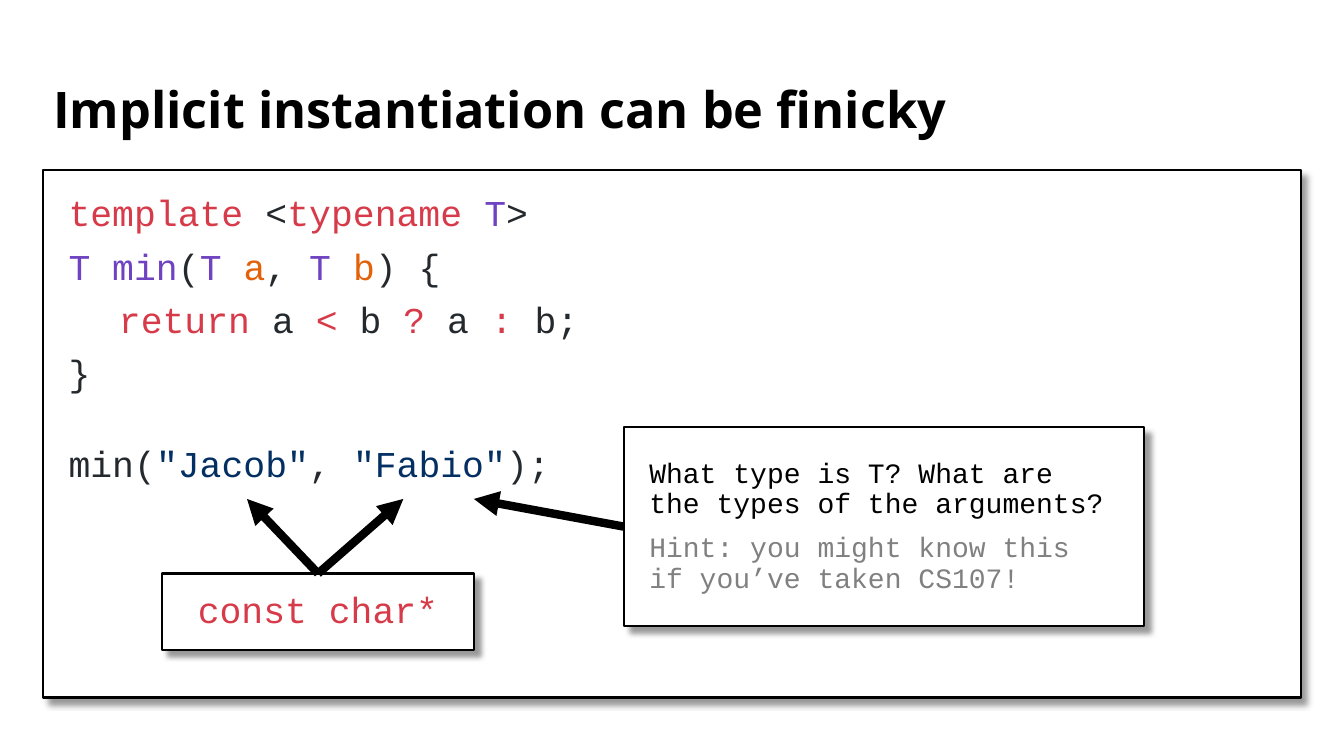
import pptx
import pptx.dml.color
import pptx.enum.shapes
import pptx.enum.text
import pptx.oxml
import pptx.oxml.ns
import pptx.util
from pptx.util import Inches

CODE_FONT = "Courier New"
BLACK, WHITE, HINT_GREY = "000000", "FFFFFF", "808080"
PLAIN, KEYWORD, TYPE, PARAMETER, STRING = "24292E", "D73A49", "6F42C1", "E36209", "032F62"

CODE_LINES = [
    [("template", KEYWORD), (" <", PLAIN), ("typename ", KEYWORD), ("T", TYPE), (">", PLAIN)],
    [("T min", TYPE), ("(", PLAIN), ("T ", TYPE), ("a", PARAMETER), (", ", PLAIN),
     ("T ", TYPE), ("b", PARAMETER), (") {", PLAIN)],
    [("\treturn", KEYWORD), (" a ", PLAIN), ("<", KEYWORD), (" b ", PLAIN), ("?", KEYWORD),
     (" a ", PLAIN), (":", KEYWORD), (" b;", PLAIN)],
    [("}", PLAIN)],
]
CALL_LINE = [("min(", PLAIN), ('"Jacob"', STRING), (", ", PLAIN), ('"Fabio"', STRING), (");", PLAIN)]
QUESTION = [("What type is T? What are the types of the arguments?", BLACK)]
HINT = [("Hint: you might know this if you’ve taken CS107!", HINT_GREY)]


def rgb(hex_colour):
    return pptx.dml.color.RGBColor.from_string(hex_colour)


def drawing_xml(body):
    namespace = pptx.oxml.ns.nsdecls("a")
    return pptx.oxml.parse_xml(body.replace(">", f" {namespace}>", 1))


def add_text(frame, pieces, *, size, font=CODE_FONT, bold=False, centred=False,
             space_before=10, tab=None):
    """Add one paragraph of (text, colour) pieces; the first in a frame gets no space before."""
    paragraph = frame.paragraphs[0]
    if paragraph.runs:
        paragraph = frame.add_paragraph()
        paragraph.space_before = pptx.util.Pt(space_before)
    paragraph.line_spacing = 0.9
    align = pptx.enum.text.PP_ALIGN
    paragraph.alignment = align.CENTER if centred else align.LEFT
    if tab is not None:
        paragraph._p.get_or_add_pPr().append(drawing_xml(
            f'<a:tabLst><a:tab pos="{tab}" algn="l"/></a:tabLst>'))
    for text, colour in pieces:
        run = paragraph.add_run()
        run.text = text
        run.font.name = font
        run.font.size = pptx.util.Pt(size)
        run.font.bold = bold
        run.font.color.rgb = rgb(colour)


def add_title(slide, title):
    frame = slide.shapes.add_textbox(
        Inches(0.43), Inches(0.69), Inches(12.47), Inches(0.84)).text_frame
    frame.word_wrap = True
    frame.vertical_anchor = pptx.enum.text.MSO_ANCHOR.MIDDLE
    add_text(frame, [(title, BLACK)], size=36, font="Open Sans", bold=True)


def add_panel(slide, left, top, width, height, anchor=pptx.enum.text.MSO_ANCHOR.MIDDLE):
    """Add a white, black-edged rectangle with a soft shadow to the lower right."""
    panel = slide.shapes.add_shape(
        pptx.enum.shapes.MSO_SHAPE.RECTANGLE,
        Inches(left), Inches(top), Inches(width), Inches(height))
    panel.fill.solid()
    panel.fill.fore_color.rgb = rgb(WHITE)
    panel.line.color.rgb = rgb(BLACK)
    panel.line.width = pptx.util.Pt(1.5)
    panel.shadow.inherit = False
    effects = panel._element.spPr.find(pptx.oxml.ns.qn("a:effectLst"))
    effects.append(drawing_xml(
        f'<a:outerShdw blurRad="{pptx.util.Pt(4)}" dist="{pptx.util.Pt(6)}" dir="2700000" '
        f'algn="tl" rotWithShape="0"><a:srgbClr val="{BLACK}"><a:alpha val="40000"/>'
        '</a:srgbClr></a:outerShdw>'))
    frame = panel.text_frame
    frame.word_wrap = True
    frame.vertical_anchor = anchor
    frame.margin_left = frame.margin_right = Inches(0.25)
    frame.margin_top = frame.margin_bottom = Inches(0.25)
    return panel


def add_arrow(slide, panel, side, tip_x, tip_y):
    """Point from the middle of a panel's side to a place in the code."""
    tip = Inches(tip_x), Inches(tip_y)
    arrow = slide.shapes.add_connector(pptx.enum.shapes.MSO_CONNECTOR.STRAIGHT, *tip, *tip)
    arrow.begin_connect(panel, side)
    arrow.line.color.rgb = rgb(BLACK)
    arrow.line.width = pptx.util.Pt(6)
    arrow.line._get_or_add_ln().append(drawing_xml('<a:tailEnd type="triangle"></a:tailEnd>'))
    arrow._element.spPr.append(drawing_xml("<a:effectLst></a:effectLst>"))


def main():
    presentation = pptx.Presentation()
    presentation.slide_width = Inches(13.33)
    presentation.slide_height = Inches(7.5)
    slide = presentation.slides.add_slide(presentation.slide_layouts[6])

    add_title(slide, "Implicit instantiation can be finicky")

    code = add_panel(slide, 0.43, 1.69, 12.47, 5.23, pptx.enum.text.MSO_ANCHOR.TOP)
    for line in CODE_LINES:
        indented = line[0][0].startswith("\t")
        add_text(code.text_frame, line, size=26, tab=Inches(0.5) if indented else None)
    add_text(code.text_frame, CALL_LINE, size=26, space_before=37)

    question = add_panel(slide, 6.19, 4.24, 5.16, 1.97)
    for pieces in (QUESTION, HINT):
        add_text(question.text_frame, pieces, size=20)
    add_arrow(slide, question, 1, 4.7, 4.95)

    argument_type = add_panel(slide, 1.61, 5.69, 3.09, 0.76)
    add_text(argument_type.text_frame, [("const char*", KEYWORD)], size=26, centred=True)
    for tip_x in (2.45, 4):
        add_arrow(slide, argument_type, 0, tip_x, 4.95)

    presentation.save("out.pptx")


if __name__ == "__main__":
    main()
